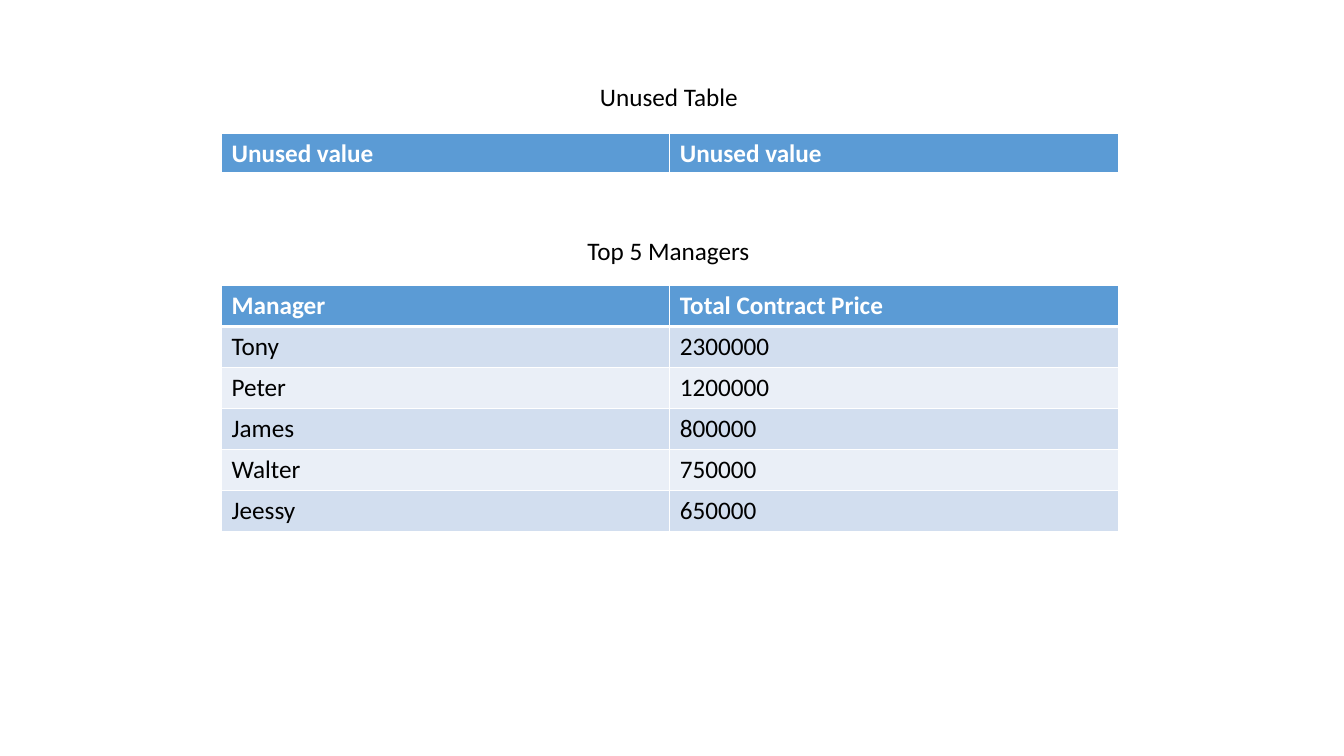
from lxml import etree
from pptx import Presentation
from pptx import util as u
from pptx.dml.color import RGBColor
from pptx.enum import text
from pptx.oxml import ns

PX = 9525  # EMU in one px, 96 px to the inch


def px(n):
    return u.Emu(n * PX)


def rgb(code):
    return RGBColor.from_string(code)


class Deck:
    font, size = "Calibri", 18
    ink, white, head = "000000", "FFFFFF", "5B9BD5"
    bands = "D2DEEF", "EAEFF7"
    left, col, row = 211, 427, 39

    def __init__(self):
        self.prs = Presentation()
        self.prs.slide_width, self.prs.slide_height = px(1280), px(720)
        self.slide = self.prs.slides.add_slide(self.prs.slide_layouts[6])

    def label(self, frame, words, color, bold=False):
        frame.text = words
        font = frame.paragraphs[0].runs[0].font
        font.name, font.size, font.bold = self.font, u.Pt(self.size), bold
        font.color.rgb = rgb(color)

    def title(self, words, x, y, w):
        box = self.slide.shapes.add_textbox(px(x), px(y), px(w), px(38))
        frame = box.text_frame
        frame.word_wrap = False
        frame.auto_size = text.MSO_AUTO_SIZE.SHAPE_TO_FIT_TEXT
        self.label(frame, words, self.ink)

    def edge(self, cell, side, width):
        """Add one cell border; sides must come in the order L, R, T, B."""
        props = cell._tc.get_or_add_tcPr()
        line = etree.SubElement(props, ns.qn(f"a:ln{side}"), w=str(u.Pt(width)))
        fill = etree.SubElement(line, ns.qn("a:solidFill"))
        etree.SubElement(fill, ns.qn("a:srgbClr"), val=self.white)

    def cell(self, cell, words, row):
        top = row == 0
        self.label(cell.text_frame, words, self.white if top else self.ink, top)
        for side in "LRTB":
            # The rule between header and body is thick.
            thick = (row, side) in ((0, "B"), (1, "T"))
            self.edge(cell, side, 3 if thick else 1)
        cell.fill.solid()
        cell.fill.fore_color.rgb = rgb(self.head if top else self.bands[(row - 1) % 2])

    def table(self, y, rows):
        count = len(rows[0])
        frame = self.slide.shapes.add_table(
            len(rows), count, px(self.left), px(y),
            px(count * self.col), px(len(rows) * self.row))
        grid = frame.table
        for col in grid.columns:
            col.width = px(self.col)
        for i, row in enumerate(rows):
            grid.rows[i].height = px(self.row)
            for j, words in enumerate(row):
                self.cell(grid.cell(i, j), words, i)


def main():
    deck = Deck()
    deck.title("Unused Table", 562, 73, 153)
    deck.table(127, [("Unused value", "Unused value")])
    deck.title("Top 5 Managers", 550, 219, 176)
    deck.table(272, [
        ("Manager", "Total Contract Price"),
        ("Tony", "2300000"),
        ("Peter", "1200000"),
        ("James", "800000"),
        ("Walter", "750000"),
        ("Jeessy", "650000"),
    ])
    deck.prs.save("out.pptx")


if __name__ == "__main__":
    main()
